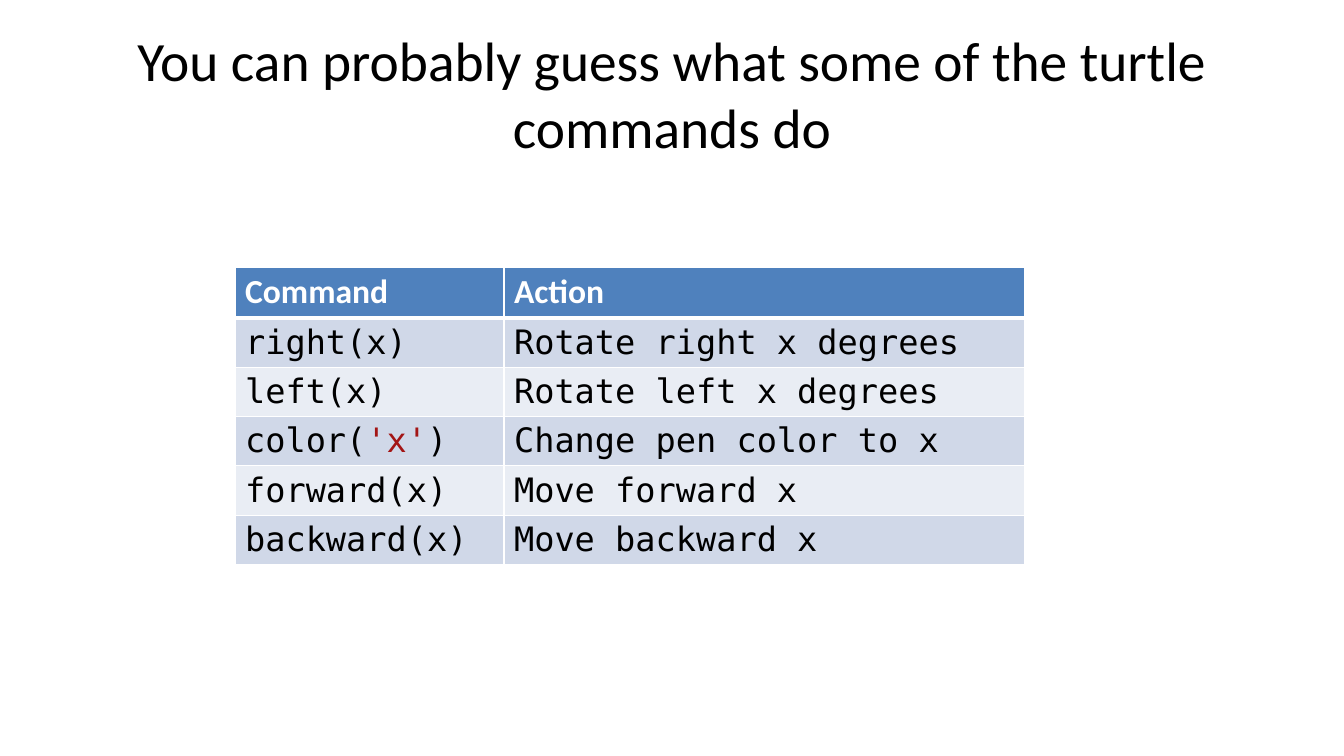
from lxml.etree import SubElement as Sub
from pptx import Presentation as Deck
from pptx.dml.color import RGBColor as Rgb
from pptx.enum.text import MSO_ANCHOR as Anchor, MSO_AUTO_SIZE as Fit, PP_ALIGN as Align
from pptx.oxml.ns import qn
from pptx.util import Pt

SCALE = 914400 / 100.8
SANS, MONO = "Calibri", "DejaVu Sans Mono"
BLACK, WHITE, RED = "000000", "FFFFFF", "A31515"
HEAD, BANDS = "4F81BD", ("D0D8E8", "E9EDF4")
ROWS = [
    ("Command", "Action"),
    ("right(x)", "Rotate right x degrees"),
    ("left(x)", "Rotate left x degrees"),
    (("color(", "'x'", ")"), "Change pen color to x"),
    ("forward(x)", "Move forward x"),
    ("backward(x)", "Move backward x"),
]


def px(n):
    return round(n * SCALE)


def paint(color, value):
    color.rgb = Rgb.from_string(value)


def write(frame, text, size=24, font=MONO, color=BLACK, bold=False, align=Align.LEFT):
    para = frame.paragraphs[0]
    para.alignment = align
    for part in (text,) if isinstance(text, str) else text:
        run = para.add_run()
        run.text = part
        run.font.size = Pt(size)
        run.font.name = font
        run.font.bold = bold
        paint(run.font.color, RED if part.startswith("'") else color)


def edge(cell, side, width):
    line = Sub(cell._tc.get_or_add_tcPr(), qn("a:ln" + side), w=str(Pt(width)))
    Sub(Sub(line, qn("a:solidFill")), qn("a:srgbClr"), val=WHITE)


def title(slide, box, text):
    shape = slide.shapes.title
    shape.left, shape.top, shape.width, shape.height = map(px, box)
    frame = shape.text_frame
    frame.word_wrap = True
    frame.auto_size = Fit.NONE
    frame.vertical_anchor = Anchor.MIDDLE
    write(frame, text, size=39.6, font=SANS, align=Align.CENTER)


def table(slide, box, rows, first=269, top=51):
    left, y, width, height = box
    grid = slide.shapes.add_table(len(rows), 2, *map(px, box)).table
    for col, size in zip(grid.columns, (first, width - first)):
        col.width = px(size)
    for i, texts in enumerate(rows):
        head = i == 0
        grid.rows[i].height = px(top if head else (height - top) / (len(rows) - 1))
        look = dict(font=SANS, color=WHITE, bold=True) if head else {}
        for cell, text in zip(grid.rows[i].cells, texts):
            for side in "LRTB":
                thick = (head and side == "B") or (i == 1 and side == "T")
                edge(cell, side, 3 if thick else 1)
            cell.fill.solid()
            paint(cell.fill.fore_color, HEAD if head else BANDS[(i - 1) % 2])
            write(cell.text_frame, text, **look)


deck = Deck()
deck.slide_width, deck.slide_height = px(1344), px(756)
slide = deck.slides.add_slide(deck.slide_layouts[5])
title(slide, (67, 30, 1210, 126), "You can probably guess what some of the turtle commands do")
table(slide, (235, 267, 790, 296), ROWS)
deck.save("out.pptx")
